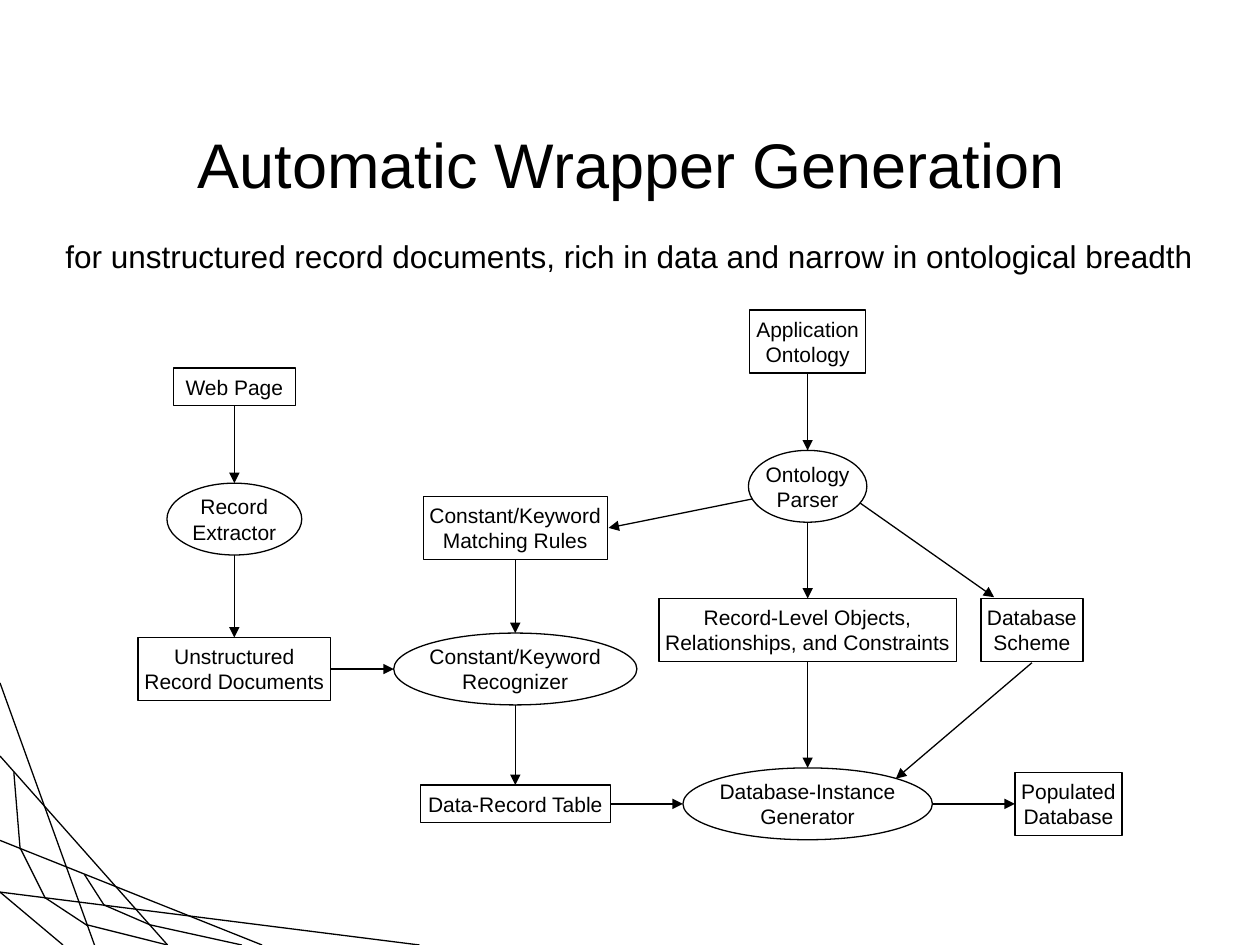
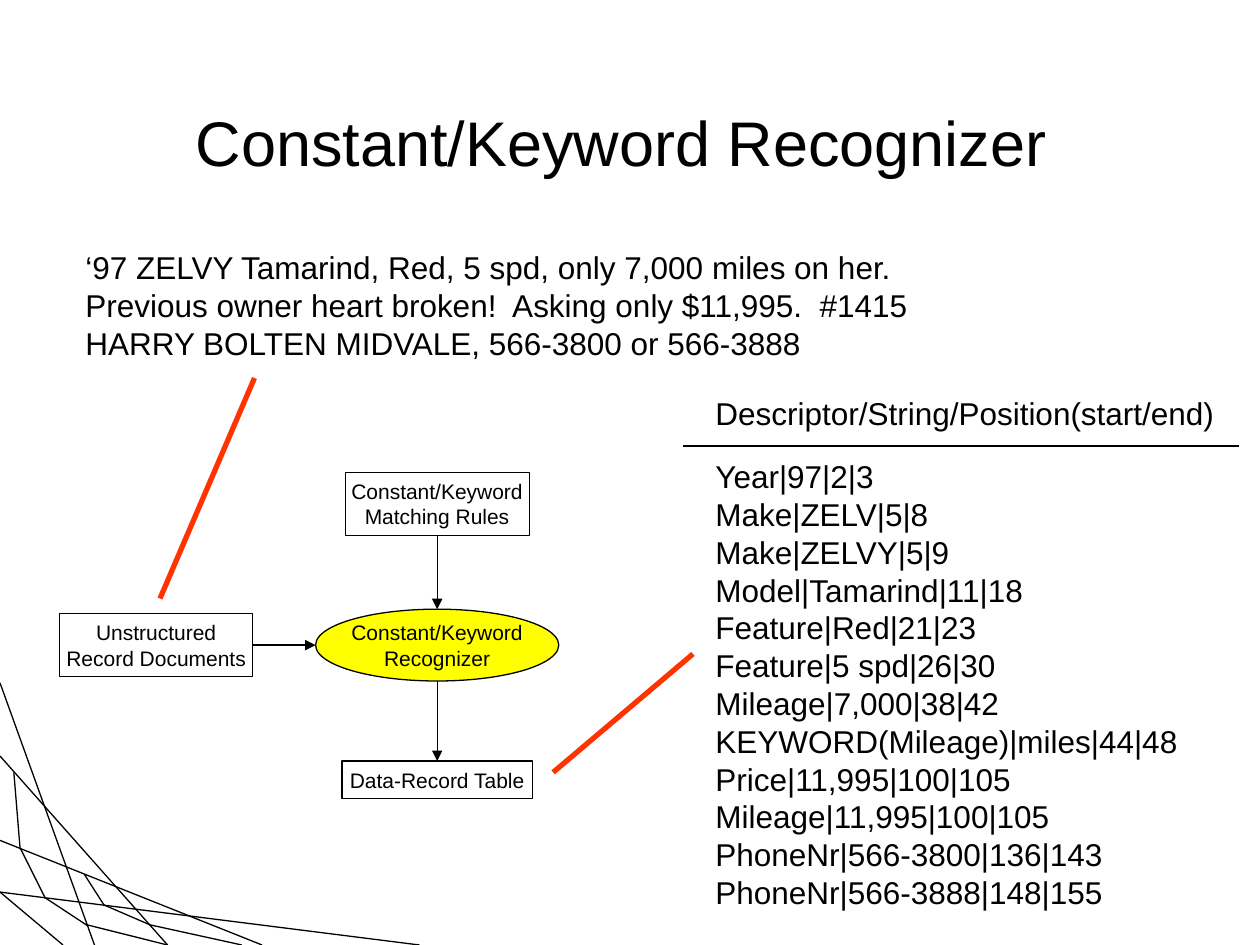
from dataclasses import dataclass, replace
from typing import Any

from lxml.etree import SubElement as Sub
from pptx import Presentation
from pptx.dml.color import RGBColor as Rgb
from pptx.enum.shapes import MSO_CONNECTOR as Conn, MSO_SHAPE as Shape
from pptx.enum.text import MSO_ANCHOR as Anchor, PP_ALIGN as Align
from pptx.oxml.ns import qn
from pptx.util import Inches, Pt

BLACK = Rgb(0x00, 0x00, 0x00)
WHITE = Rgb(0xFF, 0xFF, 0xFF)
YELLOW = Rgb(0xFF, 0xFF, 0x00)
RED = Rgb(0xFF, 0x33, 0x00)
FONT = "Arial"


@dataclass(frozen=True)
class Node:
    """A step of the flow, placed by its centre."""
    text: str
    x: float
    y: float
    wide: float
    oval: bool = False
    fill: Rgb = WHITE

    @property
    def high(self) -> float:
        if self.oval:
            return 0.57
        return 0.5 if "\n" in self.text else 0.3


@dataclass(frozen=True)
class Line:
    x1: float
    y1: float
    x2: float
    y2: float
    color: Rgb = BLACK
    width: float = 0.75
    arrow: bool = False


# Corner web on every slide
WEB = [
    Line(0, 5.42, 0.75, 7.5), Line(0, 6, 1.33, 7.5),
    Line(0, 6.67, 2.08, 7.5), Line(0, 7.08, 3.33, 7.5),
    Line(0.11, 6.13, 0.16, 6.74), Line(0.16, 6.73, 0.36, 7.13),
    Line(0.35, 7.12, 0.7, 7.35), Line(0.69, 7.34, 1.33, 7.5),
    Line(0, 7.08, 0.5, 7.5), Line(0.67, 6.94, 0.83, 7.19),
    Line(0.82, 7.18, 1.19, 7.34), Line(1.19, 7.34, 1.92, 7.5),
]

# Recognizer part of the flow, used on both slides
CORE = {
    "recog": Node("Constant/Keyword\nRecognizer", 4.09, 5.31, 1.93, oval=True),
    "docs": Node("Unstructured\nRecord Documents", 1.86, 5.31, 1.53),
    "rules": Node("Constant/Keyword\nMatching Rules", 4.09, 4.19, 1.46),
    "table": Node("Data-Record Table", 4.09, 6.38, 1.51),
}
CORE_LINKS = [("docs", "recog"), ("recog", "table"), ("rules", "recog")]

# The rest of the flow
FLOW = CORE | {
    "app": Node("Application\nOntology", 6.41, 2.71, 0.92),
    "parser": Node("Ontology\nParser", 6.41, 3.86, 0.94, oval=True),
    "maker": Node("Database-Instance\nGenerator", 6.41, 6.38, 1.98, oval=True),
    "objects": Node("Record-Level Objects,\nRelationships, and Constraints",
                    6.41, 5, 2.36),
    "scheme": Node("Database\nScheme", 8.19, 5, 0.81),
    "result": Node("Populated\nDatabase", 8.48, 6.38, 0.85),
    "extract": Node("Record\nExtractor", 1.86, 4.12, 1.07, oval=True),
    "page": Node("Web Page", 1.86, 3.07, 0.97),
}
FLOW_LINKS = CORE_LINKS + [
    ("app", "parser"), ("parser", "objects"), ("objects", "maker"),
    ("table", "maker"), ("maker", "result"),
    ("page", "extract"), ("extract", "docs"),
]
SLANTS = [
    Line(6.78, 3.96, 7.89, 4.74, arrow=True),
    Line(6.12, 3.93, 4.83, 4.19, arrow=True),
    Line(8.19, 5.26, 7.11, 6.18, arrow=True),
]

ADVERT = """‘97 ZELVY Tamarind, Red, 5 spd, only 7,000 miles on her.
Previous owner heart broken!  Asking only $11,995.  #1415
HARRY BOLTEN MIDVALE, 566-3800 or 566-3888"""

RECORDS = """Year|97|2|3
Make|ZELV|5|8
Make|ZELVY|5|9
Model|Tamarind|11|18
Feature|Red|21|23
Feature|5 spd|26|30
Mileage|7,000|38|42
KEYWORD(Mileage)|miles|44|48
Price|11,995|100|105
Mileage|11,995|100|105
PhoneNr|566-3800|136|143
PhoneNr|566-3888|148|155"""


def write(shape: Any, text: str, *, size: float = 18, align: Align = Align.LEFT,
          anchor: Anchor = Anchor.TOP, wrap: bool = False,
          side: float = 0.1, top: float = 0.05) -> None:
    """Fill a shape with text, one paragraph a line."""
    frame = shape.text_frame
    frame.word_wrap = wrap
    frame.vertical_anchor = anchor
    frame.margin_left = frame.margin_right = Inches(side)
    frame.margin_top = frame.margin_bottom = Inches(top)
    frame.text = text
    for para in frame.paragraphs:
        para.alignment = align
        for run in para.runs:
            run.font.name = FONT
            run.font.size = Pt(size)
            run.font.color.rgb = BLACK


def label(shapes: Any, text: str, x: float, y: float, wide: float,
          high: float, **style: Any) -> None:
    box = shapes.add_textbox(Inches(x), Inches(y), Inches(wide), Inches(high))
    write(box, text, **style)


def stroke(shapes: Any, line: Line) -> None:
    ends = [Inches(v) for v in (line.x1, line.y1, line.x2, line.y2)]
    conn = shapes.add_connector(Conn.STRAIGHT, *ends)
    conn.line.color.rgb = line.color
    conn.line.width = Pt(line.width)
    if line.arrow:
        Sub(conn.line._get_or_add_ln(), qn("a:tailEnd"), type="triangle")
    Sub(conn._element.spPr, qn("a:effectLst"))


def draw(shapes: Any, node: Node) -> None:
    kind = Shape.OVAL if node.oval else Shape.FLOWCHART_PROCESS
    shape = shapes.add_shape(
        kind, Inches(node.x - node.wide / 2), Inches(node.y - node.high / 2),
        Inches(node.wide), Inches(node.high))
    shape.shadow.inherit = False
    shape.fill.solid()
    shape.fill.fore_color.rgb = node.fill
    shape.line.color.rgb = BLACK
    shape.line.width = Pt(0.75)
    inset = 0 if node.oval else 0.05
    write(shape, node.text, size=12, align=Align.CENTER,
          anchor=Anchor.MIDDLE, side=inset, top=inset)


def link(shapes: Any, start: Node, end: Node) -> None:
    """Join facing edges of two nodes in one column or one row."""
    if start.x == end.x:
        line = Line(start.x, start.y + start.high / 2,
                    end.x, end.y - end.high / 2, arrow=True)
    else:
        line = Line(start.x + start.wide / 2, start.y,
                    end.x - end.wide / 2, end.y, arrow=True)
    stroke(shapes, line)


def chart(shapes: Any, nodes: dict[str, Node],
          links: list[tuple[str, str]]) -> None:
    for node in nodes.values():
        draw(shapes, node)
    for start, end in links:
        link(shapes, nodes[start], nodes[end])


def start_slide(prs: Any, title: str, x: float, y: float) -> Any:
    """Add a slide with the corner web and a title."""
    shapes = prs.slides.add_slide(prs.slide_layouts[6]).shapes
    for line in WEB:
        stroke(shapes, line)
    label(shapes, title, x, y, 8.5, 1.25, size=36, align=Align.CENTER,
          anchor=Anchor.MIDDLE, wrap=True)
    return shapes


def add_flow(prs: Any) -> None:
    shapes = start_slide(prs, "Automatic Wrapper Generation ", 0.83, 0.67)
    label(shapes, "for unstructured record documents, rich in data and "
          "narrow in ontological breadth", 0.42, 1.83, 9.15, 0.4)
    for line in SLANTS:
        stroke(shapes, line)
    chart(shapes, FLOW, FLOW_LINKS)


def add_recog(prs: Any) -> None:
    shapes = start_slide(prs, "Constant/Keyword Recognizer ", 0.75, 0.5)
    # Sample advert and the records found in it
    label(shapes, ADVERT, 0.58, 1.92, 6.76, 1)
    label(shapes, "Descriptor/String/Position(start/end)", 5.58, 3.08, 4.16, 0.4)
    stroke(shapes, Line(5.42, 3.54, 9.83, 3.54))
    label(shapes, RECORDS, 5.58, 3.58, 3.87, 3.7)
    # Red pointers from the flow to its data
    stroke(shapes, Line(4.39, 6.13, 5.5, 5.19, RED, 3))
    stroke(shapes, Line(2.02, 3, 1.27, 4.75, RED, 3))
    # Shared part, moved up and left, with the recognizer lit
    nodes = {key: replace(node, x=node.x - 0.62, y=node.y - 0.19)
             for key, node in CORE.items()}
    nodes["recog"] = replace(nodes["recog"], fill=YELLOW)
    chart(shapes.add_group_shape().shapes, nodes, CORE_LINKS)


def main() -> None:
    prs = Presentation()
    prs.slide_width, prs.slide_height = Inches(10), Inches(7.5)
    add_flow(prs)
    add_recog(prs)
    prs.save("out.pptx")


if __name__ == "__main__":
    main()
